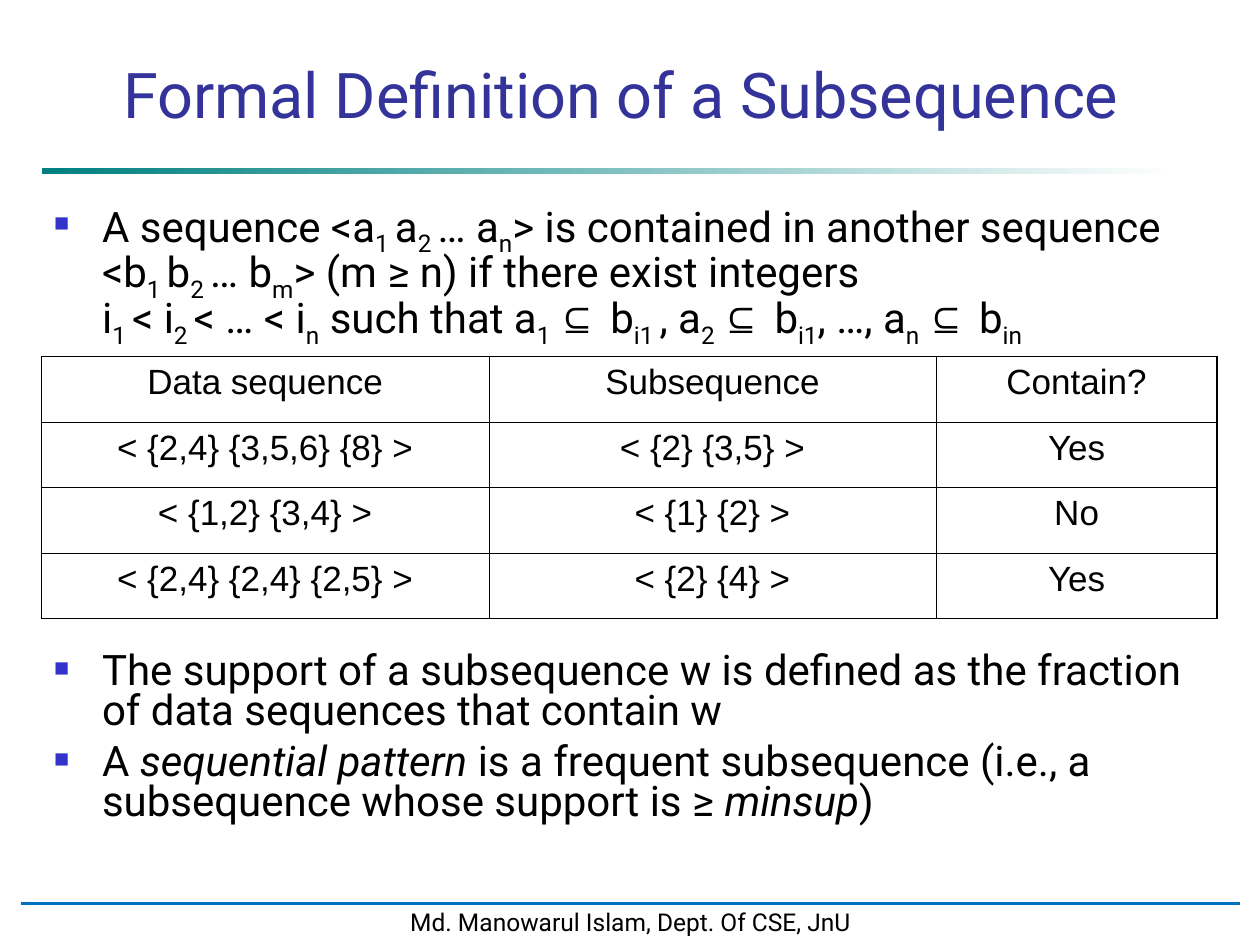
from dataclasses import dataclass
from lxml.etree import SubElement
from pptx import Presentation
from pptx.dml.color import RGBColor as RGB
from pptx.enum.shapes import MSO_CONNECTOR as LINK, MSO_SHAPE as SHAPE
from pptx.enum.text import MSO_ANCHOR as ANCHOR, MSO_AUTO_SIZE as AUTO, PP_ALIGN as ALIGN
from pptx.oxml.ns import qn
from pptx.util import Inches, Pt


@dataclass(frozen=True)
class Theme:
    black: str = "000000"
    white: str = "FFFFFF"
    title: str = "333399"
    bullet: str = "3333CC"
    teal: str = "008080"
    blue: str = "0070C0"
    font: str = "Roboto"
    plain: str = "Arial"
    head: int = 36
    body: int = 24
    cell: int = 20
    foot: int = 14
    thick: float = 1.08
    thin: float = 0.45


T = Theme()


def sub(words):
    return words, {"base": -25}


def ital(words):
    return words, {"ital": True}


SUBSET = ("⊆ ", {"font": T.plain})
BREAK = "\n"

FIRST = [
    "A sequence <a", sub("1 "), "a", sub("2 "), "… a", sub("n"),
    "> is contained in another sequence <b", sub("1 "), "b", sub("2 "),
    "… b", sub("m"), "> (m ≥ n) if there exist integers ", BREAK,
    "i", sub("1 "), "< i", sub("2 "), "< … < i", sub("n"),
    " such that a", sub("1 "), SUBSET, "b", sub("i1 "),
    ", a", sub("2 "), SUBSET, "b", sub("i1"),
    ", …, a", sub("n "), SUBSET, "b", sub("in"),
]
SUPPORT = ["The support of a subsequence w is defined as the fraction "
           "of data sequences that contain w"]
PATTERN = ["A ", ital("sequential pattern"),
           " is a frequent subsequence (i.e., a subsequence whose support is ≥ ",
           ital("minsup"), ")"]
# Each bullet with its space before; the second one clears the table
BULLETS = [(FIRST, 0), (SUPPORT, 177), (PATTERN, 6)]

ROWS = [
    ("Data sequence", "Subsequence", "Contain?"),
    ("< {2,4} {3,5,6} {8} >", "< {2} {3,5} >", "Yes"),
    ("< {1,2} {3,4} >", "< {1} {2} >", "No"),
    ("< {2,4} {2,4} {2,5} >", "< {2} {4} >", "Yes"),
]


def write(para, words, size, color=T.black, font=T.font, base=0, ital=False, align=None):
    """Add one run, or a line break, to a paragraph."""
    if align is not None:
        para.alignment = align
    if words == BREAK:
        para.add_line_break()
        SubElement(para._p[-1], qn("a:rPr"), sz=str(size * 100))
        return
    run = para.add_run()
    run.text = words
    run.font.size, run.font.name = Pt(size), font
    run.font.color.rgb = RGB.from_string(color)
    run.font.italic = ital
    if base:
        run.font._element.set("baseline", str(base * 1000))


def place(shape, box):
    shape.left, shape.top, shape.width, shape.height = map(Inches, box)


def block(slide, box):
    shape = slide.shapes.add_shape(SHAPE.RECTANGLE, *map(Inches, box))
    shape.shadow.inherit = False
    return shape


def rule(slide, box):
    bar = block(slide, box)
    bar.line.fill.background()
    bar.fill.gradient()
    bar.fill.gradient_angle = 0
    for stop, color in zip(bar.fill.gradient_stops, (T.teal, T.white)):
        stop.color.rgb = RGB.from_string(color)


def footer(slide, box):
    bar = block(slide, box)
    bar.fill.solid()
    bar.fill.fore_color.rgb = bar.line.color.rgb = RGB.from_string(T.white)
    bar.line.width = Pt(2)
    bar.text_frame.vertical_anchor = ANCHOR.MIDDLE
    write(bar.text_frame.paragraphs[0], "Md. Manowarul Islam, Dept. Of CSE, JnU",
          T.foot, align=ALIGN.CENTER)
    # Line along the top of the footer
    left, top, width, _ = box
    y = Inches(top + 0.02)
    line = slide.shapes.add_connector(LINK.STRAIGHT, Inches(left), y, Inches(left + width), y)
    line.line.color.rgb = RGB.from_string(T.blue)
    line.line.width = Pt(1.75)
    SubElement(line._element.spPr, qn("a:effectLst"))


def title(slide, box):
    shape = slide.shapes.title
    place(shape, box)
    frame = shape.text_frame
    frame.auto_size, frame.vertical_anchor = AUTO.NONE, ANCHOR.BOTTOM
    write(frame.paragraphs[0], "Formal Definition of a Subsequence",
          T.head, T.title, align=ALIGN.CENTER)


def bullet(para):
    props = para._p.get_or_add_pPr()
    indent = Inches(0.38)
    props.set("marL", str(indent))
    props.set("indent", str(-indent))
    SubElement(SubElement(props, qn("a:buClr")), qn("a:srgbClr"), val=T.bullet)
    SubElement(props, qn("a:buSzPct"), val="60000")
    SubElement(props, qn("a:buFont"), typeface=T.plain)
    SubElement(props, qn("a:buChar"), char="■")


def body(slide, box):
    shape = slide.placeholders[1]
    place(shape, box)
    frame = shape.text_frame
    frame.auto_size = AUTO.NONE
    for i, (parts, gap) in enumerate(BULLETS):
        para = frame.add_paragraph() if i else frame.paragraphs[0]
        bullet(para)
        para.line_spacing, para.space_before = 0.8, Pt(gap)
        for part in parts:
            words, style = (part, {}) if isinstance(part, str) else part
            write(para, words, T.body, **style)


def border(cell, sides):
    props = cell._tc.get_or_add_tcPr()
    for i, (side, outer) in enumerate(sides.items()):
        width = Pt(T.thick if outer else T.thin)
        edge = props.makeelement(qn(f"a:ln{side}"), {"w": str(width)})
        fill = SubElement(edge, qn("a:solidFill"))
        SubElement(fill, qn("a:srgbClr"), val=T.black)
        props.insert(i, edge)


def table(slide, box):
    rows, cols = len(ROWS), len(ROWS[0])
    grid = slide.shapes.add_table(rows, cols, *map(Inches, box)).table
    grid.first_row = grid.horz_banding = False
    for col, width in zip(grid.columns, (3.55, 3.55, 2.23)):
        col.width = Inches(width)
    for r, row in enumerate(ROWS):
        for c, words in enumerate(row):
            cell = grid.cell(r, c)
            cell.fill.background()
            para = cell.text_frame.paragraphs[0]
            para.space_after = Pt(4)
            write(para, words, T.cell, font=T.plain, align=ALIGN.CENTER)
            border(cell, {"L": c == 0, "R": c == cols - 1,
                          "T": r == 0, "B": r == rows - 1})


def main():
    deck = Presentation()
    deck.slide_width, deck.slide_height = Inches(10), Inches(7.5)
    slide = deck.slides.add_slide(deck.slide_layouts[1])
    rule(slide, (0.33, 1.33, 9, 0.05))
    footer(slide, (0.17, 7.15, 9.67, 0.33))
    title(slide, (0.67, 0.42, 8.52, 0.67))
    body(slide, (0.33, 1.58, 9.17, 5.5))
    table(slide, (0.33, 2.83, 9.33, 2.08))
    deck.save("out.pptx")


if __name__ == "__main__":
    main()
